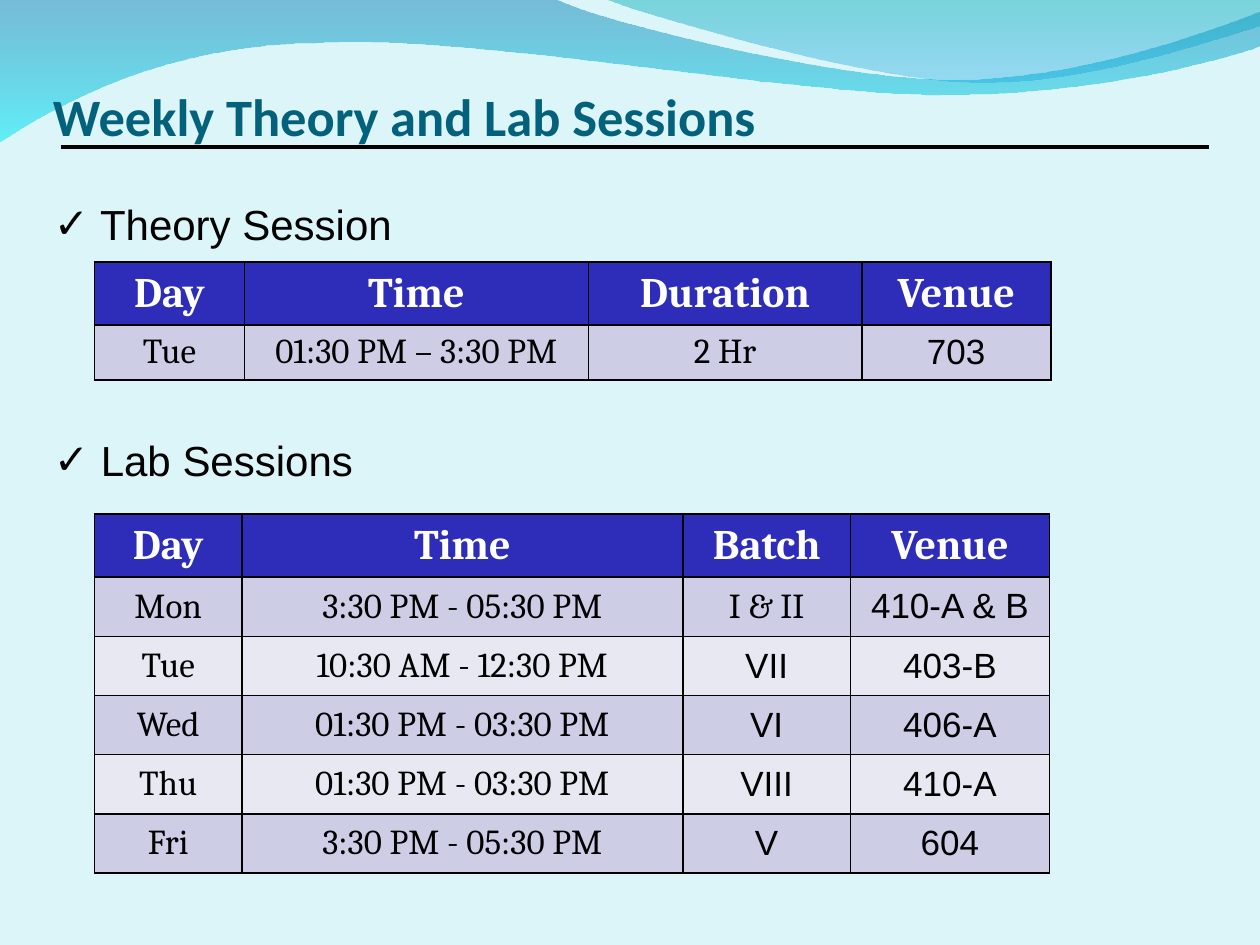
import pptx
import pptx.dml.color
import pptx.enum.shapes
import pptx.enum.text
import pptx.oxml
import pptx.oxml.ns
import pptx.util
from lxml import etree
from pptx.util import Inches

COLORS = {
    "background": "DBF5F9", "title": "04617B", "text": "000000",
    "header": "2D2DB9", "header_text": "FFFFFF",
    "band_dark": "CDCDE6", "band_light": "E8E8F3",
    "wave_top": "0079AF", "wave_bottom": "00EBF8",
    "crest_top": "00ADB6", "crest_bottom": "009BE5",
}
ALIGN = pptx.enum.text.PP_ALIGN
ANCHOR = pptx.enum.text.MSO_ANCHOR
qn = pptx.oxml.ns.qn

# Outlines in inches: two numbers are a line, six a Bezier curve
WAVE = [
    (0, -0.01), (4.4, -0.01),
    (4.76, 0.17, 6.64, 0.63, 7.58, 0.63), (8.53, 0.63, 9.58, 0.26, 10, 0.09),
    (10.01, 0.36),
    (9.83, 0.44, 8.7, 0.76, 7.46, 0.75), (6.22, 0.75, 3.82, 0.28, 2.57, 0.34),
    (1.29, 0.35, 0.46, 0.83, -0.01, 1.13), (0, -0.01),
]
CREST = [
    (4.79, -0.01), (5.09, 0.11, 6.82, 0.62, 7.69, 0.65),
    (8.56, 0.69, 9.61, 0.32, 10, 0.21), (10, 0), (4.79, -0.01),
]

# Each row with the index of its first Arial column
THEORY_ROWS = [(("Tue", "01:30 PM – 3:30 PM", "2 Hr", "703"), 3)]
LAB_ROWS = [
    (("Mon", "3:30 PM - 05:30 PM", "I & II", "410-A & B"), 3),
    (("Tue", "10:30 AM - 12:30 PM", "VII", "403-B"), 2),
    (("Wed", "01:30 PM - 03:30 PM", "VI", "406-A"), 2),
    (("Thu", "01:30 PM - 03:30 PM", "VIII", "410-A"), 2),
    (("Fri", "3:30 PM - 05:30 PM", "V", "604"), 2),
]


def rgb(name):
    return pptx.dml.color.RGBColor.from_string(COLORS[name])


def write(frame, text, size=24, font="Arial", color="text", bold=False,
          align=ALIGN.LEFT, spacing=None, bullet=None):
    para = frame.paragraphs[0]
    para.alignment = align
    if spacing:
        para.line_spacing = spacing
    if bullet:
        properties = para._p.get_or_add_pPr()
        etree.SubElement(properties, qn("a:buFont"), typeface=font)
        etree.SubElement(properties, qn("a:buChar"), char=bullet)
    span = para.add_run()
    span.text = text
    span.font.size = pptx.util.Pt(size)
    span.font.name = font
    span.font.bold = bold
    span.font.color.rgb = rgb(color)


def bend_curves(shape, outline):
    """Join each three line segments that stand for a curve into one Bezier."""
    segments = iter(list(shape._element.iter(qn("a:lnTo"))))
    for part in outline[1:]:
        first = next(segments)
        if len(part) == 2:
            continue
        curve = etree.Element(qn("a:cubicBezTo"))
        first.addprevious(curve)
        for segment in (first, next(segments), next(segments)):
            curve.append(segment[0])
            segment.getparent().remove(segment)


def add_wave(page, outline, stops):
    points = [(Inches(part[i]), Inches(part[i + 1]))
              for part in outline for i in range(0, len(part), 2)]
    builder = page.shapes.build_freeform(*points[0])
    builder.add_line_segments(points[1:], close=True)
    shape = builder.convert_to_shape()
    bend_curves(shape, outline)
    shape.shadow.inherit = False
    shape.line.fill.background()
    # Vertical gradient with transparent stops
    shape.fill.gradient()
    gradient = shape._element.spPr.find(qn("a:gradFill"))
    gradient.find(qn("a:lin")).set("ang", "5400000")
    for node, (color, opacity) in zip(gradient.find(qn("a:gsLst")), stops):
        for child in list(node):
            node.remove(child)
        fill = etree.SubElement(node, qn("a:srgbClr"), val=COLORS[color])
        etree.SubElement(fill, qn("a:alpha"), val=str(opacity * 1000))


def add_title(page, text):
    box = page.shapes.add_textbox(Inches(0.42), Inches(0.25), Inches(7.92), Inches(0.92))
    frame = box.text_frame
    frame.word_wrap = True
    frame.vertical_anchor = ANCHOR.BOTTOM
    frame.margin_left = frame.margin_right = frame.margin_bottom = 0
    write(frame, text, size=30, font="Calibri", color="title", bold=True)


def add_rule(page):
    rule = page.shapes.add_connector(pptx.enum.shapes.MSO_CONNECTOR.STRAIGHT,
                                     Inches(0.5), Inches(1.17), Inches(9.58), Inches(1.17))
    rule.line.color.rgb = rgb("text")
    rule.line.width = pptx.util.Pt(2.25)
    rule._element.spPr.find(qn("a:ln")).set("cap", "sq")
    etree.SubElement(rule._element.spPr, qn("a:effectLst"))


def add_heading(page, text, top):
    box = page.shapes.add_textbox(Inches(0.33), Inches(top), Inches(9.33), Inches(0.63))
    box.text_frame.word_wrap = True
    box.text_frame.auto_size = pptx.enum.text.MSO_AUTO_SIZE.SHAPE_TO_FIT_TEXT
    write(box.text_frame, text, align=ALIGN.JUSTIFY, spacing=1.5, bullet="✓")


def add_borders(cell):
    properties = cell._tc.get_or_add_tcPr()
    for side in ("a:lnL", "a:lnR", "a:lnT", "a:lnB"):
        line = etree.SubElement(properties, qn(side), w=str(pptx.util.Pt(1)))
        fill = etree.SubElement(line, qn("a:solidFill"))
        etree.SubElement(fill, qn("a:srgbClr"), val=COLORS["text"])


def fill_cell(cell, text, fill, **text_format):
    cell.vertical_anchor = ANCHOR.MIDDLE
    add_borders(cell)
    cell.fill.solid()
    cell.fill.fore_color.rgb = rgb(fill)
    write(cell.text_frame, text, align=ALIGN.CENTER, **text_format)


def add_schedule(page, top, widths, row_height, headers, rows):
    heights = [0.5] + [row_height] * len(rows)
    table = page.shapes.add_table(len(heights), len(widths), Inches(0.75), Inches(top),
                                  Inches(sum(widths)), Inches(sum(heights))).table
    for column, width in zip(table.columns, widths):
        column.width = Inches(width)
    for row, height in zip(table.rows, heights):
        row.height = Inches(height)
    for column, text in enumerate(headers):
        fill_cell(table.cell(0, column), text, "header",
                  font="Cambria", color="header_text", bold=True)
    for number, (texts, first_arial) in enumerate(rows, 1):
        band = "band_dark" if number % 2 else "band_light"
        for column, text in enumerate(texts):
            font = "Arial" if column >= first_arial else "Cambria"
            fill_cell(table.cell(number, column), text, band, size=20, font=font)


def main():
    deck = pptx.Presentation()
    deck.slide_width, deck.slide_height = Inches(10), Inches(7.5)
    page = deck.slides.add_slide(deck.slide_layouts[6])
    page.background.fill.solid()
    page.background.fill.fore_color.rgb = rgb("background")

    # Waves along the top edge
    add_wave(page, WAVE, [("wave_top", 46), ("wave_bottom", 56)])
    add_wave(page, CREST, [("crest_top", 46), ("crest_bottom", 31)])

    # Title and rule
    add_title(page, "Weekly Theory and Lab Sessions")
    add_rule(page)

    # Theory session
    add_heading(page, " Theory Session", 1.33)
    add_schedule(page, 2.08, [1.19, 2.73, 2.17, 1.5], 0.43,
                 ["Day", "Time", "Duration", "Venue"], THEORY_ROWS)

    # Lab sessions
    add_heading(page, " Lab Sessions", 3.2)
    add_schedule(page, 4.08, [1.17, 3.5, 1.33, 1.58], 0.47,
                 ["Day", "Time", "Batch", "Venue"], LAB_ROWS)

    deck.save("out.pptx")


if __name__ == "__main__":
    main()
